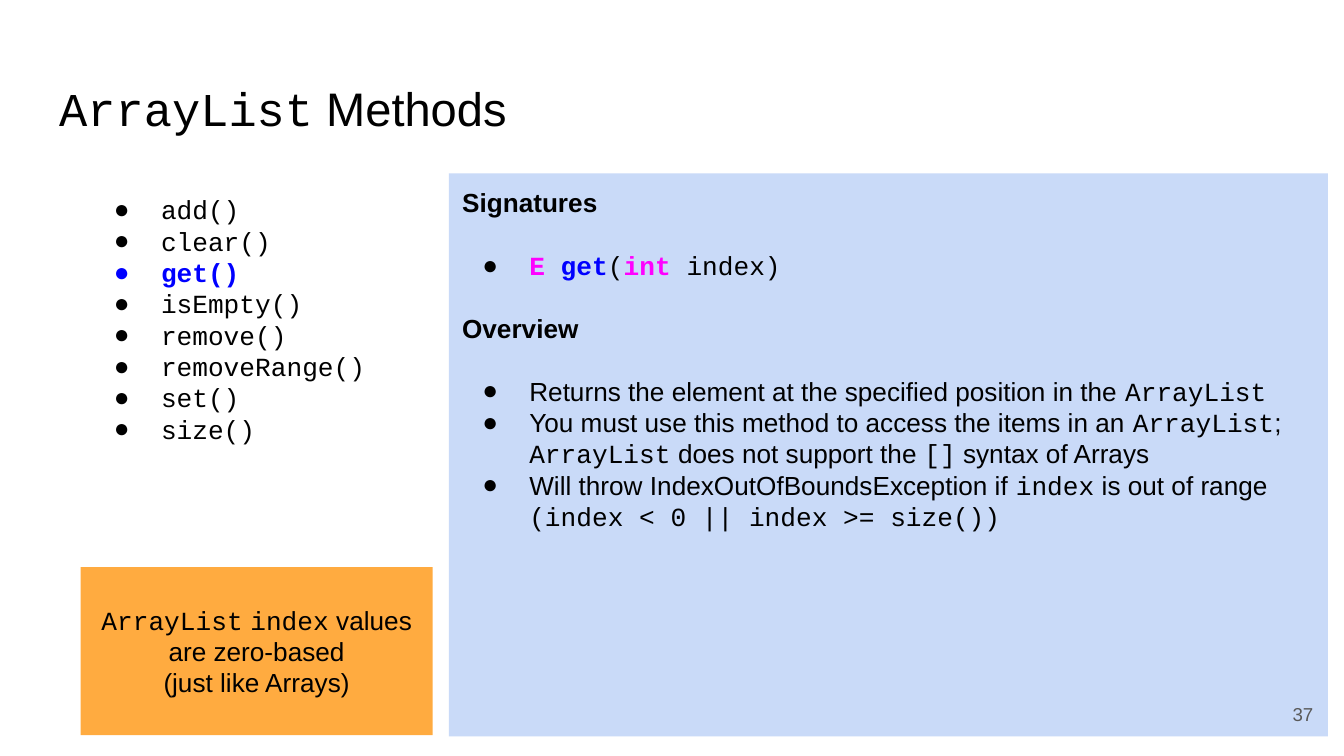
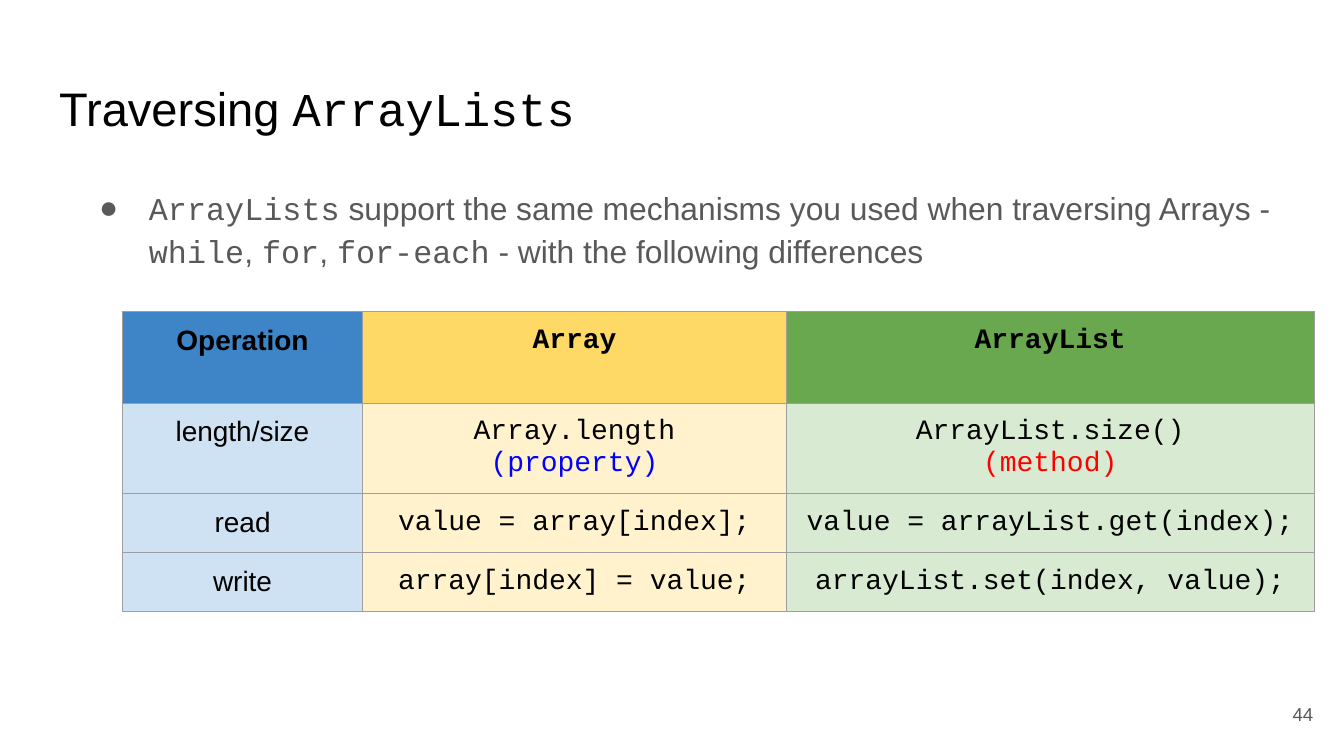
from copy import deepcopy

from lxml.etree import SubElement
from pptx import Presentation
from pptx.dml.color import RGBColor
from pptx.enum.shapes import MSO_SHAPE
from pptx.enum.text import MSO_ANCHOR as ANCHOR, MSO_AUTO_SIZE, PP_ALIGN as ALIGN
from pptx.oxml.ns import qn
from pptx.util import Inches, Pt

SANS, MONO = "Arial", "Courier New"
BLACK, GREY, BLUE, PINK, RED = "000000", "595959", "0000FF", "FF00FF", "FF0000"
PANEL, NOTE, BORDER = "C9DAF8", "FFAB40", "9E9E9E"
PAD = 0.1
LINE_GAP = 16.8

METHODS = ["add()", "clear()", "get()", "isEmpty()", "remove()",
           "removeRange()", "set()", "size()"]
CURRENT = "get()"
SECTIONS = [
    ("Signatures", [
        [("`E `", PINK, True), ("`get`", BLUE, True), ("`(`", BLACK, False),
         ("`int`", PINK, True), ("` index)`", BLACK, False)],
    ]),
    ("Overview", [
        "Returns the element at the specified position in the `ArrayList`",
        "You must use this method to access the items in an `ArrayList`; "
        "`ArrayList` does not support the `[]` syntax of Arrays",
        "Will throw IndexOutOfBoundsException if `index` is out of range "
        "`(index < 0 || index >= size())`",
    ]),
]
ZERO_BASED = "`ArrayList` `index` values are zero-based\n(just like Arrays)"
TRAVERSING = ("`ArrayLists` support the same mechanisms you used when traversing Arrays - "
              "`while`, `for`, `for-each` - with the following differences")

OPERATIONS = [
    ["Operation", "`Array`", "`ArrayList`"],
    ["length/size",
     [("`Array.length\n`", BLACK, False), ("`(property)`", BLUE, False)],
     [("`ArrayList.size()\n`", BLACK, False), ("`(method)`", RED, False)]],
    ["read", "`value = array[index];`", "`value = arrayList.get(index);`"],
    ["write", "`array[index] = value;`", "`arrayList.set(index, value);`"],
]
HEAD_FILLS = ["3D85C6", "FFD966", "6AA84F"]
BODY_FILLS = ["CFE2F3", "FFF2CC", "D9EAD3"]
COL_WIDTHS = [1.79, 3.15, 3.93]
ROW_HEIGHTS = [0.68, 0.45, 0.27, 0.23]


def rgb(value):
    """Turn a hex string into a colour."""
    return RGBColor.from_string(value)


def box(*lengths):
    """Turn left, top, width and height in inches into lengths."""
    return [Inches(n) for n in lengths]


def add_bullet(p, color, hang):
    """Give a paragraph a round bullet with a hanging indent."""
    pPr = p._p.get_or_add_pPr()
    pPr.set("marL", str(Inches(0.5)))
    pPr.set("indent", str(-Inches(hang)))
    SubElement(SubElement(pPr, qn("a:buClr")), qn("a:srgbClr"), val=color)
    SubElement(pPr, qn("a:buFont"), typeface=SANS)
    SubElement(pPr, qn("a:buChar"), char="●")


def write(tf, text, size=14, color=BLACK, bold=False, align=ALIGN.LEFT,
          hang=None, before=0, spacing=None):
    """Add a paragraph; backticks mark code and tuples mark styled parts."""
    p = tf.paragraphs[0]
    if p.runs:
        p = tf.add_paragraph()
    parts = [(text, color, bold)] if isinstance(text, str) else text
    if hang:
        add_bullet(p, color, hang)
    p.alignment = align
    p.space_before = Pt(before)
    if spacing:
        p.line_spacing = spacing
    for part, part_color, part_bold in parts:
        for i, piece in enumerate(part.split("`")):
            for j, line in enumerate(piece.split("\n")):
                if j:
                    p.add_line_break()
                    p._p[-1].append(deepcopy(r._r.rPr))
                if line:
                    r = p.add_run()
                    r.text = line
                    r.font.name = MONO if i % 2 else SANS
                    r.font.size = Pt(size)
                    r.font.bold = part_bold
                    r.font.color.rgb = rgb(part_color)
    return p


def frame(sp, anchor=ANCHOR.TOP):
    """Set wrapping, padding and anchor, and return the text frame."""
    tf = sp.text_frame
    tf.word_wrap = True
    tf.auto_size = MSO_AUTO_SIZE.NONE
    tf.vertical_anchor = anchor
    tf.margin_left = tf.margin_right = tf.margin_top = tf.margin_bottom = Inches(PAD)
    return tf


def add_text(s, place, anchor=ANCHOR.TOP):
    """Add a text box and return its text frame."""
    return frame(s.shapes.add_textbox(*box(*place)), anchor)


def add_panel(s, place, fill, anchor=ANCHOR.TOP):
    """Add a filled rectangle and return its text frame."""
    sp = s.shapes.add_shape(MSO_SHAPE.RECTANGLE, *box(*place))
    sp.shadow.inherit = False
    sp.fill.solid()
    sp.fill.fore_color.rgb = rgb(fill)
    sp.line.fill.background()
    return frame(sp, anchor)


def add_slide(prs, title):
    """Add a slide with the shared title style."""
    s = prs.slides.add_slide(prs.slide_layouts[5])
    sp = s.shapes.title
    sp.left, sp.top, sp.width, sp.height = box(0.34, 0.49, 9.32, 0.63)
    write(frame(sp), title, size=25.2)
    return s


def add_number(s, number):
    """Add the page number in the lower right corner."""
    tf = add_text(s, (9.27, 5.1, 0.6, 0.43), ANCHOR.MIDDLE)
    write(tf, str(number), size=10, color=GREY, align=ALIGN.RIGHT)


def add_borders(cell):
    """Draw a thin line on all four sides of a cell."""
    tcPr = cell._tc.get_or_add_tcPr()
    for i, side in enumerate(("lnL", "lnR", "lnT", "lnB")):
        ln = tcPr.makeelement(qn(f"a:{side}"), w=str(Pt(0.75)))
        SubElement(SubElement(ln, qn("a:solidFill")), qn("a:srgbClr"), val=BORDER)
        tcPr.insert(i, ln)


def add_operations(s):
    """Add the table that compares arrays with lists."""
    place = box(0.91, 2.32, sum(COL_WIDTHS), sum(ROW_HEIGHTS))
    table = s.shapes.add_table(len(ROW_HEIGHTS), len(COL_WIDTHS), *place).table
    for col, width in zip(table.columns, COL_WIDTHS):
        col.width = Inches(width)
    for i, (row, height) in enumerate(zip(OPERATIONS, ROW_HEIGHTS)):
        table.rows[i].height = Inches(height)
        for j, text in enumerate(row):
            cell = table.cell(i, j)
            cell.margin_left = cell.margin_right = Inches(PAD)
            cell.margin_top = cell.margin_bottom = Inches(PAD)
            cell.fill.solid()
            cell.fill.fore_color.rgb = rgb((BODY_FILLS if i else HEAD_FILLS)[j])
            add_borders(cell)
            write(cell.text_frame, text, size=15, bold=i == 0, align=ALIGN.CENTER)


def methods_slide(prs):
    """Build the slide on the get method."""
    s = add_slide(prs, "`ArrayList` Methods")
    tf = add_text(s, (0.6, 1.34, 2.27, 2.09))
    for name in METHODS:
        current = name == CURRENT
        write(tf, f"`{name}`", color=BLUE if current else BLACK, bold=current, hang=0.35)
    tf = add_panel(s, (3.34, 1.29, 6.54, 4.19), PANEL)
    for i, (heading, items) in enumerate(SECTIONS):
        write(tf, heading, bold=True, before=LINE_GAP if i else 0)
        for j, item in enumerate(items):
            write(tf, item, hang=0.35, before=0 if j else LINE_GAP)
    tf = add_panel(s, (0.6, 4.22, 2.62, 1.25), NOTE, ANCHOR.MIDDLE)
    write(tf, ZERO_BASED, align=ALIGN.CENTER)
    add_number(s, 37)


def traversing_slide(prs):
    """Build the slide on traversing lists."""
    s = add_slide(prs, "Traversing `ArrayLists`")
    tf = add_text(s, (0.51, 1.26, 9.32, 0.97))
    write(tf, TRAVERSING, size=17, color=GREY, hang=0.37, spacing=1.15)
    add_operations(s)
    add_number(s, 44)


def main():
    """Build and save the presentation."""
    prs = Presentation()
    prs.slide_width = Inches(10)
    prs.slide_height = prs.slide_width * 9 // 16
    methods_slide(prs)
    traversing_slide(prs)
    prs.save("out.pptx")


if __name__ == "__main__":
    main()
